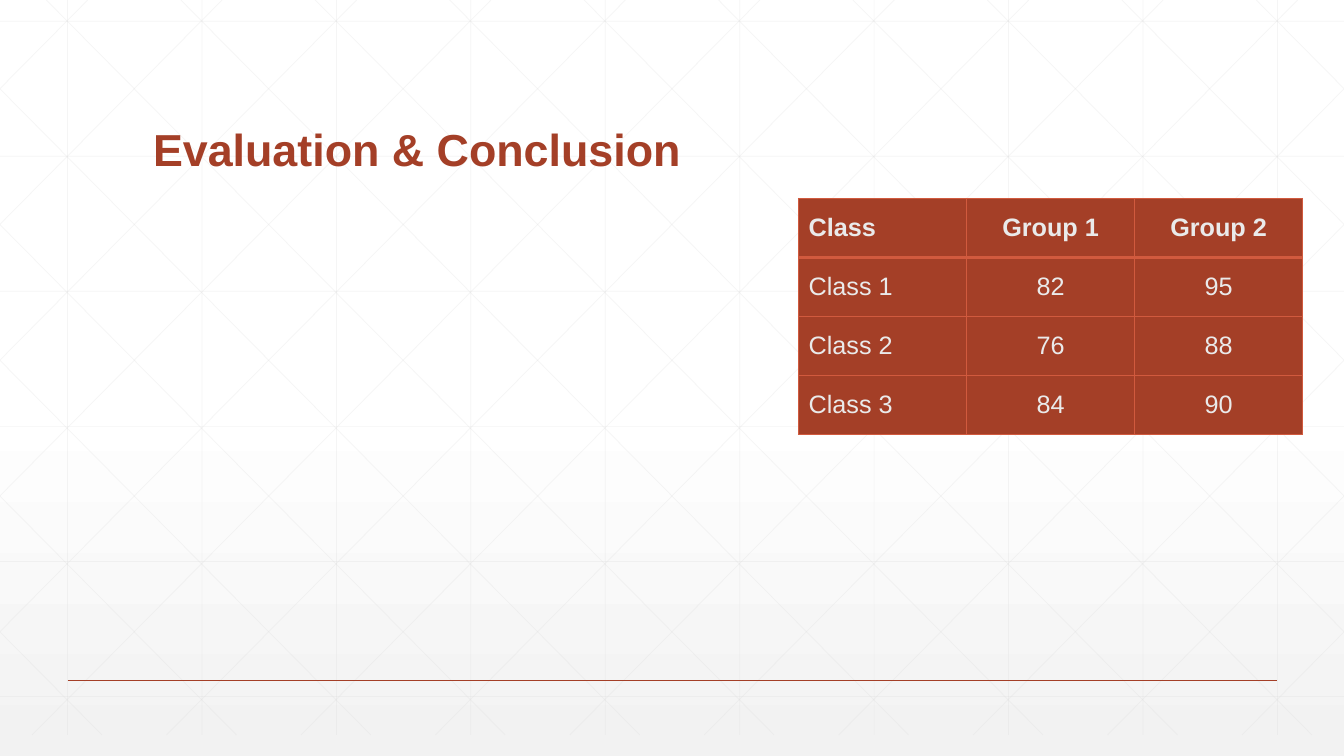
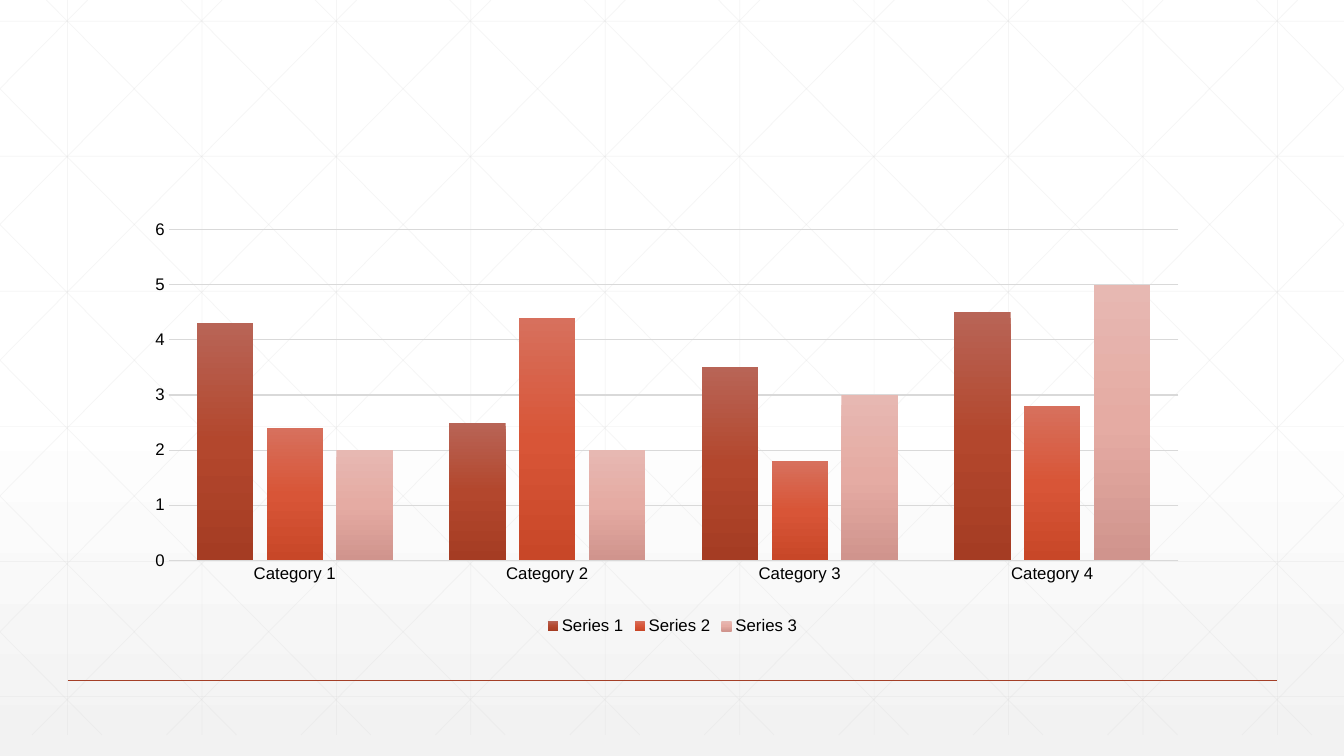
"""Build a class score table and a column chart on a lined backdrop."""
from copy import deepcopy

from lxml.etree import SubElement
from pptx import Presentation
from pptx.chart.data import CategoryChartData
from pptx.dml.color import RGBColor
from pptx.enum.chart import XL_CHART_TYPE, XL_LEGEND_POSITION, XL_TICK_MARK
from pptx.enum.shapes import MSO_CONNECTOR
from pptx.enum.text import MSO_ANCHOR, PP_ALIGN
from pptx.oxml import parse_xml
from pptx.oxml.ns import nsdecls, qn
from pptx.util import Inches, Pt

RUST = RGBColor(0xA4, 0x3F, 0x27)
CORAL = RGBColor(0xD1, 0x5A, 0x3E)
PALE = RGBColor(0xEA, 0xEA, 0xEA)
GRAY = RGBColor(0xD9, 0xD9, 0xD9)
SMOKE = RGBColor(0xF2, 0xF2, 0xF2)
WHITE = RGBColor(0xFF, 0xFF, 0xFF)
BLACK = RGBColor(0, 0, 0)
SHADES = [
    (RGBColor(0xB8, 0x64, 0x56), RGBColor(0xB3, 0x47, 0x2D), RGBColor(0xA5, 0x3C, 0x23)),
    (RGBColor(0xD7, 0x70, 0x5D), RGBColor(0xD8, 0x55, 0x37), RGBColor(0xC8, 0x47, 0x28)),
    (RGBColor(0xE7, 0xB8, 0xB2), RGBColor(0xE5, 0xAB, 0xA3), RGBColor(0xD0, 0x94, 0x8D)),
]
FONT = "Arial"
WIDTH, HEIGHT = 13.33, 7.5
STEP = 4 / 3
FLOOR = 7.29
SLANT = 0.99


class Deck:
    def __init__(self):
        self.prs = Presentation()
        self.prs.slide_width = Inches(WIDTH)
        self.prs.slide_height = Inches(HEIGHT)

    def new(self):
        self.slide = self.prs.slides.add_slide(self.prs.slide_layouts[6])
        self.shade(self.slide.background.fill, (WHITE, WHITE, SMOKE), 0.53)
        self.grid()
        self.line(self.slide.shapes, 0.67, 6.75, 12.67, 6.75, RUST, 1)

    def shade(self, fill, colors, middle=0.5):
        fill.gradient()
        fill.gradient_angle = 270
        first = fill.gradient_stops[0].element
        first.addnext(deepcopy(first))
        for stop, place, color in zip(fill.gradient_stops, (0, middle, 1), colors):
            stop.position = place
            stop.color.rgb = color

    def style(self, font, size, color, bold=False):
        font.name, font.size, font.bold = FONT, Pt(size), bold
        font.color.rgb = color

    def line(self, shapes, left, top, right, bottom, color, width, alpha=100):
        ends = [Inches(end) for end in (left, top, right, bottom)]
        line = shapes.add_connector(MSO_CONNECTOR.STRAIGHT, *ends)
        line.line.width = Pt(width)
        line.line.color.rgb = color
        props = line.element.spPr
        for tone in props.iter(qn("a:srgbClr")):
            SubElement(tone, qn("a:alpha"), val=str(alpha * 1000))
        SubElement(props, qn("a:effectLst"))

    def grid(self):
        shapes = self.slide.shapes.add_group_shape().shapes
        pen = (GRAY, 0.5, 25)
        for col in range(10):
            left = 0.67 + col * STEP
            self.line(shapes, left, 0, left, FLOOR, *pen)
        for row in range(6):
            top = 0.21 + row * 1.34
            self.line(shapes, 0, top, WIDTH, top, *pen)
        for col in range(-5, 10):
            start = 0.46 + col * STEP
            left, right = max(0, start), min(WIDTH, start + FLOOR * SLANT)
            top, bottom = (left - start) / SLANT, (right - start) / SLANT
            self.line(shapes, left, top, right, bottom, *pen)
            self.line(shapes, WIDTH - left, top, WIDTH - right, bottom, *pen)

    def title(self, text):
        box = self.slide.shapes.add_textbox(Inches(1.42), Inches(0.55), Inches(10.5), Inches(1.25))
        frame = box.text_frame
        frame.word_wrap = True
        frame.vertical_anchor = MSO_ANCHOR.BOTTOM
        para = frame.paragraphs[0]
        para.text = text
        para.line_spacing = 0.9
        self.style(para.font, 32, RUST, True)

    def border(self, props, sides):
        for place, (side, width) in enumerate(sides.items()):
            props.insert(place, parse_xml(
                f'<a:ln{side} {nsdecls("a")} w="{Pt(width)}"><a:solidFill>'
                f'<a:srgbClr val="{CORAL}"/></a:solidFill></a:ln{side}>'))

    def table(self, rows, left, top, width, height):
        count = len(rows[0])
        frame = self.slide.shapes.add_table(
            len(rows), count, Inches(left), Inches(top), Inches(width), Inches(height))
        for r, row in enumerate(rows):
            for c, text in enumerate(row):
                cell = frame.table.cell(r, c)
                cell.fill.solid()
                cell.fill.fore_color.rgb = RUST
                cell.vertical_anchor = MSO_ANCHOR.MIDDLE
                para = cell.text_frame.paragraphs[0]
                para.text = text
                para.alignment = PP_ALIGN.CENTER if c else PP_ALIGN.LEFT
                self.style(para.font, 18, PALE, r == 0)
        for spot, cell in enumerate(frame.element.iter(qn("a:tc"))):
            row = spot // count
            sides = {"L": 1, "R": 1, "T": 2 if row == 1 else 1, "B": 2 if row == 0 else 1}
            self.border(cell.get_or_add_tcPr(), sides)

    def chart(self, names, series, left, top, width, height):
        data = CategoryChartData()
        data.categories = names
        for name, values in series.items():
            data.add_series(name, values)
        chart = self.slide.shapes.add_chart(
            XL_CHART_TYPE.COLUMN_CLUSTERED, Inches(left), Inches(top),
            Inches(width), Inches(height), data).chart
        chart.has_title = False
        self.style(chart.font, 12, BLACK)
        chart.has_legend = True
        chart.legend.position = XL_LEGEND_POSITION.BOTTOM
        chart.legend.include_in_layout = False
        self.style(chart.legend.font, 12, BLACK)
        plot = chart.plots[0]
        plot.gap_width, plot.overlap = 100, -24
        plot.vary_by_categories = False
        for bars, colors in zip(plot.series, SHADES):
            self.shade(bars.format.fill, colors)
        self.axes(chart)
        self.layout(chart, x=0.024, y=0.026, w=0.954, h=0.787)

    def axes(self, chart):
        base, scale = chart.category_axis, chart.value_axis
        for axis in (base, scale):
            axis.major_tick_mark = axis.minor_tick_mark = XL_TICK_MARK.NONE
            self.style(axis.tick_labels.font, 12, BLACK)
        scale.minimum_scale, scale.maximum_scale, scale.major_unit = 0, 6, 1
        scale.format.line.fill.background()
        for line in (base.format.line, scale.major_gridlines.format.line):
            line.color.rgb = GRAY
            line.width = Pt(0.75)

    def layout(self, chart, **sizes):
        area = chart.element.find(".//" + qn("c:plotArea"))
        for old in area.findall(qn("c:layout")):
            area.remove(old)
        modes = {"layoutTarget": "inner", "xMode": "edge", "yMode": "edge"}
        layout = area.makeelement(qn("c:layout"))
        area.insert(0, layout)
        manual = SubElement(layout, qn("c:manualLayout"))
        for tag, value in (modes | sizes).items():
            SubElement(manual, qn("c:" + tag), val=str(value))


def main():
    deck = Deck()
    deck.new()
    deck.title("Evaluation & Conclusion")
    deck.table([
        ("Class", "Group 1", "Group 2"),
        ("Class 1", "82", "95"),
        ("Class 2", "76", "88"),
        ("Class 3", "84", "90"),
    ], 7.92, 1.97, 5, 2.34)
    deck.new()
    deck.chart(
        [f"Category {n}" for n in range(1, 5)],
        {
            "Series 1": (4.3, 2.5, 3.5, 4.5),
            "Series 2": (2.4, 4.4, 1.8, 2.8),
            "Series 3": (2, 2, 3, 5),
        }, 1.42, 2.17, 10.5, 4.17)
    deck.prs.save("out.pptx")


if __name__ == "__main__":
    main()
